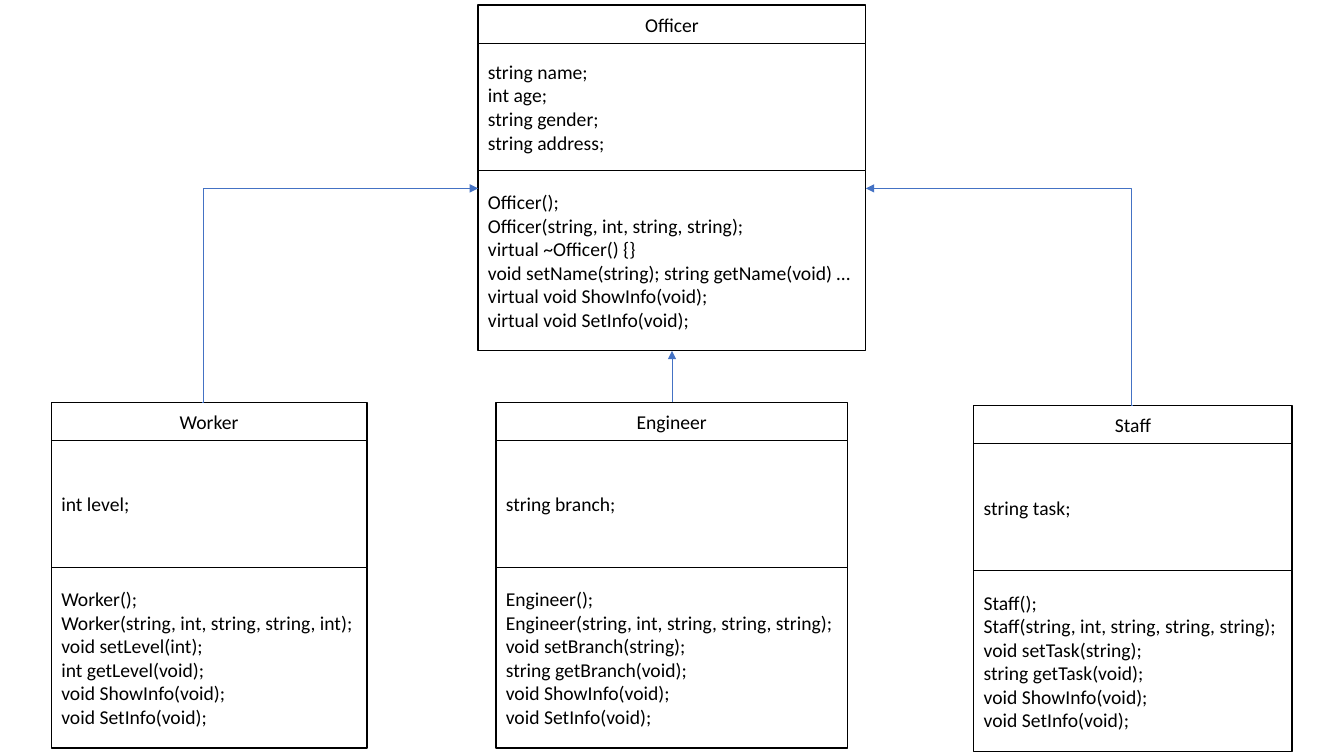
"""Build a UML class diagram of Officer and its three derived classes."""
import pptx
import pptx.util
import pptx.dml.color
import pptx.enum.shapes
import pptx.enum.text
import pptx.oxml
import pptx.oxml.ns

Pt = pptx.util.Pt
RGBColor = pptx.dml.color.RGBColor
ALIGN = pptx.enum.text.PP_ALIGN
CONNECTOR = pptx.enum.shapes.MSO_CONNECTOR

BLACK = RGBColor(0x00, 0x00, 0x00)
WHITE = RGBColor(0xFF, 0xFF, 0xFF)
BLUE = RGBColor(0x44, 0x72, 0xC4)

CLASSES = {
    "Officer": {
        "left": 341.5, "top": 3.6, "width": 277,
        "fields": ["string name;", "int age;", "string gender;", "string address;"],
        "methods": ["Officer();", "Officer(string, int, string, string);",
                    "virtual ~Officer() {}",
                    "void setName(string); string getName(void) …",
                    "virtual void ShowInfo(void);", "virtual void SetInfo(void);"],
    },
    "Engineer": {
        "left": 354.2, "top": 287.3, "width": 251.3,
        "fields": ["string branch;"],
        "methods": ["Engineer();", "Engineer(string, int, string, string, string);",
                    "void setBranch(string);", "string getBranch(void);",
                    "void ShowInfo(void);", "void SetInfo(void);"],
    },
    "Staff": {
        "left": 695.5, "top": 289.6, "width": 227.5,
        "fields": ["string task;"],
        "methods": ["Staff();", "Staff(string, int, string, string, string);",
                    "void setTask(string);", "string getTask(void);",
                    "void ShowInfo(void);", "void SetInfo(void);"],
    },
    "Worker": {
        "left": 36.7, "top": 287.3, "width": 225.4,
        "fields": ["int level;"],
        "methods": ["Worker();", "Worker(string, int, string, string, int);",
                    "void setLevel(int);", "int getLevel(void);",
                    "void ShowInfo(void);", "void SetInfo(void);"],
    },
}
NAME_HEIGHT, FIELDS_HEIGHT, METHODS_HEIGHT = 27.4, 90.7, 128.9
SIDE_ARROW_Y = 134.6
WORKER_ARROW_X = 144.4
BEND = 500
FONT_FORMAT = {"name": "Calibri", "size": Pt(14)}
FRAME_FORMAT = {"word_wrap": True, "vertical_anchor": pptx.enum.text.MSO_ANCHOR.MIDDLE}


def apply_format(target, values):
    for attribute, value in values.items():
        setattr(target, attribute, value)


def add_compartment(slide, bounds, lines, alignment):
    compartment = slide.shapes.add_shape(
        pptx.enum.shapes.MSO_SHAPE.RECTANGLE, *map(Pt, bounds))
    compartment.shadow.inherit = False
    compartment.fill.solid()
    compartment.fill.fore_color.rgb = WHITE
    compartment.line.color.rgb = BLACK
    compartment.line.width = Pt(1)
    frame = compartment.text_frame
    apply_format(frame, FRAME_FORMAT)
    frame.text = "\n".join(lines)
    for paragraph in frame.paragraphs:
        paragraph.alignment = alignment
        apply_format(paragraph.font, FONT_FORMAT)
        paragraph.font.color.rgb = BLACK


def add_class(slide, name, parts):
    top = parts["top"]
    for lines, height, alignment in (
            ([name], NAME_HEIGHT, ALIGN.CENTER),
            (parts["fields"], FIELDS_HEIGHT, ALIGN.LEFT),
            (parts["methods"], METHODS_HEIGHT, ALIGN.LEFT)):
        add_compartment(slide, (parts["left"], top, parts["width"], height),
                        lines, alignment)
        top += height


def add_inheritance(slide, kind, start, end):
    arrow = slide.shapes.add_connector(kind, *map(Pt, start + end))
    arrow.line.color.rgb = BLUE
    arrow.line.width = Pt(0.5)
    properties = arrow._element.spPr
    namespace = pptx.oxml.ns.nsdecls("a")
    arrow.line._get_or_add_ln().append(
        pptx.oxml.parse_xml(f'<a:tailEnd {namespace} type="triangle"/>'))
    properties.append(pptx.oxml.parse_xml(f"<a:effectLst {namespace}/>"))
    if kind == CONNECTOR.ELBOW:
        guides = properties.find(".//" + pptx.oxml.ns.qn("a:avLst"))
        guides.append(pptx.oxml.parse_xml(
            f'<a:gd {namespace} name="adj1" fmla="val {BEND}"/>'))


def center(parts):
    return parts["left"] + parts["width"] / 2


deck = pptx.Presentation()
deck.slide_width, deck.slide_height = Pt(960), Pt(540)
diagram = deck.slides.add_slide(deck.slide_layouts[6])
for class_name, class_parts in CLASSES.items():
    add_class(diagram, class_name, class_parts)

officer, engineer, staff, worker = CLASSES.values()
officer_right = officer["left"] + officer["width"]
officer_bottom = officer["top"] + NAME_HEIGHT + FIELDS_HEIGHT + METHODS_HEIGHT
INHERITANCE = [
    (CONNECTOR.ELBOW, (WORKER_ARROW_X, worker["top"]), (officer["left"], SIDE_ARROW_Y)),
    (CONNECTOR.ELBOW, (center(staff), staff["top"]), (officer_right, SIDE_ARROW_Y)),
    (CONNECTOR.STRAIGHT, (center(officer), engineer["top"]),
     (center(officer), officer_bottom)),
]
for link in INHERITANCE:
    add_inheritance(diagram, *link)

deck.save("out.pptx")
